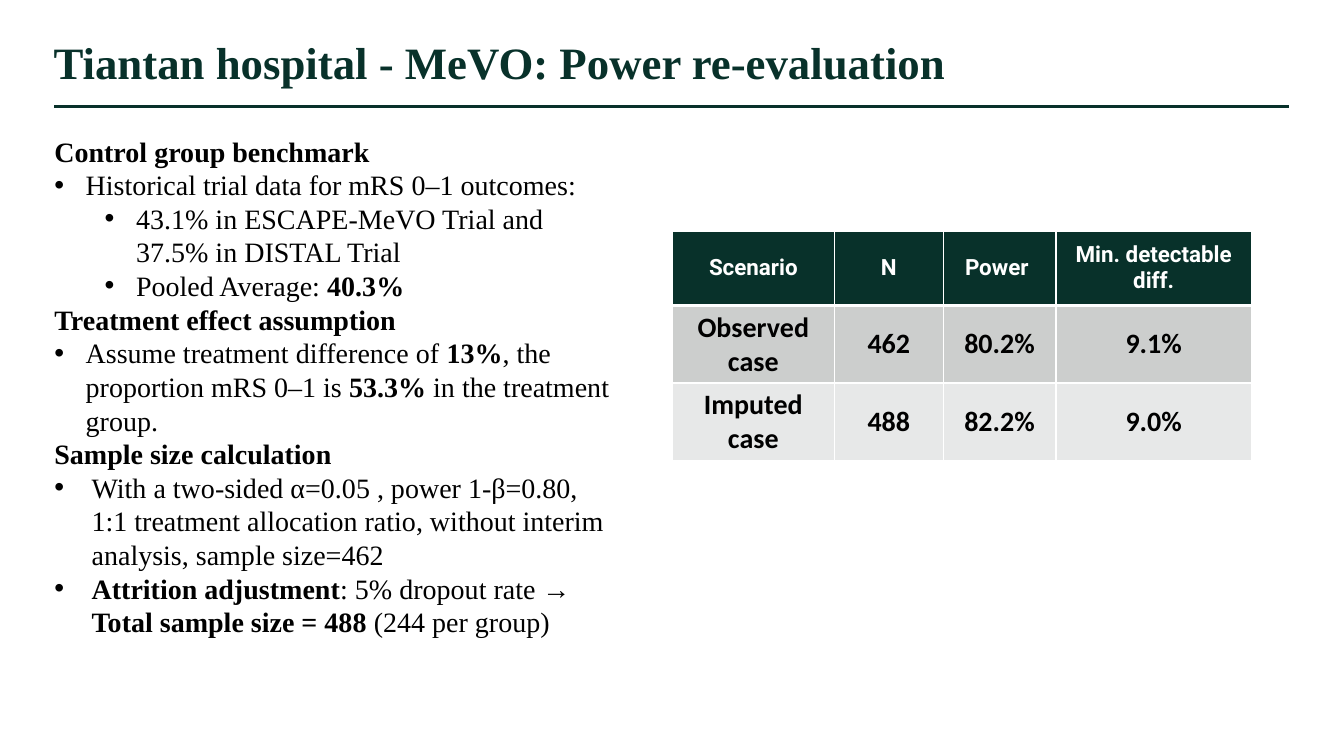
from dataclasses import dataclass

from lxml.etree import SubElement
from pptx import Presentation
from pptx.dml.color import RGBColor
from pptx.enum.shapes import MSO_CONNECTOR
from pptx.enum.text import MSO_ANCHOR, PP_ALIGN
from pptx.oxml.ns import qn
from pptx.util import Cm, Pt

# Content: body paragraphs are (indent style, [(text, bold), ...])
TITLE = "Tiantan hospital - MeVO: Power re-evaluation"
BODY = [
    ("heading", [("Control group benchmark", True)]),
    ("bullet", [("Historical trial data for mRS 0–1 outcomes:", False)]),
    ("sub", [("43.1% in ESCAPE-MeVO Trial and 37.5% in DISTAL Trial", False)]),
    ("sub", [("Pooled Average: ", False), ("40.3%", True)]),
    ("heading", [("Treatment effect assumption", True)]),
    ("bullet", [("Assume treatment difference of ", False), ("13%", True),
                (", the proportion mRS 0–1 is ", False), ("53.3% ", True),
                ("in the treatment group.", False)]),
    ("heading", [("Sample size calculation", True)]),
    ("wide", [("With a two-sided α=0.05 , power 1-β=0.80, 1:1 treatment allocation "
               "ratio, without interim analysis, sample size=462", False)]),
    ("wide", [("Attrition adjustment", True), (": 5% dropout rate → ", False),
              ("Total sample size = 488", True), (" (244 per group)", False)]),
]
SCENARIOS = [
    ("Scenario", "N", "Power ", "Min. detectable diff."),
    ("Observed case", "462", "80.2%", "9.1%"),
    ("Imputed case", "488", "82.2%", "9.0%"),
]

# Indent style: (level, left margin, hanging indent)
INDENTS = {
    "bullet": (0, Cm(0.79), Cm(0.79)),
    "sub": (1, Cm(2.06), Cm(0.79)),
    "wide": (0, Cm(0.94), Cm(0.94)),
}
COL_WIDTHS = [Cm(4.09), Cm(2.74), Cm(2.84), Cm(4.93)]
ROW_HEIGHTS = [Cm(1.88), Cm(1.94), Cm(1.94)]


@dataclass(frozen=True)
class Theme:
    green: str = "08312A"
    black: str = "000000"
    white: str = "FFFFFF"
    row_fills: tuple = ("08312A", "CCCECD", "E7E8E8")
    serif: str = "Times New Roman"
    header_font: str = "Roboto"
    cell_font: str = "Calibri"
    title_size: int = 32
    body_size: int = 20
    header_size: int = 16


THEME = Theme()


def add_run(p, text, font, size, color, bold=True):
    r = p.add_run()
    r.text = text
    r.font.name = font
    r.font.size = Pt(size)
    r.font.bold = bold
    r.font.color.rgb = RGBColor.from_string(color)


def set_margins(tf, left=0, right=0):
    tf.margin_left, tf.margin_right = left, right
    tf.margin_top = tf.margin_bottom = 0
    tf.word_wrap = True


def add_bullet(p, style):
    level, left, hanging = INDENTS[style]
    p.level = level
    pPr = p._p.get_or_add_pPr()
    pPr.set("marL", str(left))
    pPr.set("indent", str(-hanging))
    SubElement(pPr, qn("a:buFont"), typeface="Arial")
    SubElement(pPr, qn("a:buChar"), char="•")


def set_borders(cell, bottom):
    tcPr = cell._tc.get_or_add_tcPr()
    for side, width in (("L", 1), ("R", 1), ("T", 1), ("B", bottom)):
        ln = SubElement(tcPr, qn(f"a:ln{side}"), w=str(Pt(width)))
        fill = SubElement(ln, qn("a:solidFill"))
        SubElement(fill, qn("a:srgbClr"), val=THEME.white)


def add_title(slide):
    sp = slide.shapes.title
    sp.left, sp.top, sp.width, sp.height = Cm(0.84), Cm(1.02), Cm(31.12), Cm(1.22)
    tf = sp.text_frame
    set_margins(tf, Cm(0.51), Cm(0.25))
    tf.vertical_anchor = MSO_ANCHOR.MIDDLE
    p = tf.paragraphs[0]
    p.alignment = PP_ALIGN.LEFT
    p.line_spacing = 0.9
    p.space_before = Pt(0)
    add_run(p, TITLE, THEME.serif, THEME.title_size, THEME.green)


def add_rule(slide):
    line = slide.shapes.add_connector(
        MSO_CONNECTOR.STRAIGHT, Cm(1.37), Cm(2.69), Cm(32.49), Cm(2.69))
    line.line.color.rgb = RGBColor.from_string(THEME.green)
    line.line.width = Pt(2)
    SubElement(line._element.spPr, qn("a:effectLst"))


def add_body(slide):
    box = slide.shapes.add_textbox(Cm(1.37), Cm(3.38), Cm(14.25), Cm(12.83))
    tf = box.text_frame
    set_margins(tf)
    for i, (style, runs) in enumerate(BODY):
        p = tf.add_paragraph() if i else tf.paragraphs[0]
        if style in INDENTS:
            add_bullet(p, style)
        for text, bold in runs:
            add_run(p, text, THEME.serif, THEME.body_size, THEME.black, bold)


def add_scenarios(slide):
    table = slide.shapes.add_table(
        len(SCENARIOS), len(COL_WIDTHS), Cm(16.94), Cm(5.82),
        sum(COL_WIDTHS), sum(ROW_HEIGHTS)).table
    for col, width in zip(table.columns, COL_WIDTHS):
        col.width = width
    for i, values in enumerate(SCENARIOS):
        table.rows[i].height = ROW_HEIGHTS[i]
        if i == 0:
            style = (THEME.header_font, THEME.header_size, THEME.white)
        else:
            style = (THEME.cell_font, THEME.body_size, THEME.black)
        for j, text in enumerate(values):
            cell = table.cell(i, j)
            cell.vertical_anchor = MSO_ANCHOR.MIDDLE
            set_borders(cell, bottom=1 if i else 3)
            cell.fill.solid()
            cell.fill.fore_color.rgb = RGBColor.from_string(THEME.row_fills[i])
            p = cell.text_frame.paragraphs[0]
            p.alignment = PP_ALIGN.CENTER
            add_run(p, text, *style)


def main():
    prs = Presentation()
    prs.slide_width, prs.slide_height = Cm(33.87), Cm(19.05)
    slide = prs.slides.add_slide(prs.slide_layouts[5])
    add_rule(slide)
    add_body(slide)
    add_scenarios(slide)
    add_title(slide)
    prs.save("out.pptx")


if __name__ == "__main__":
    main()
